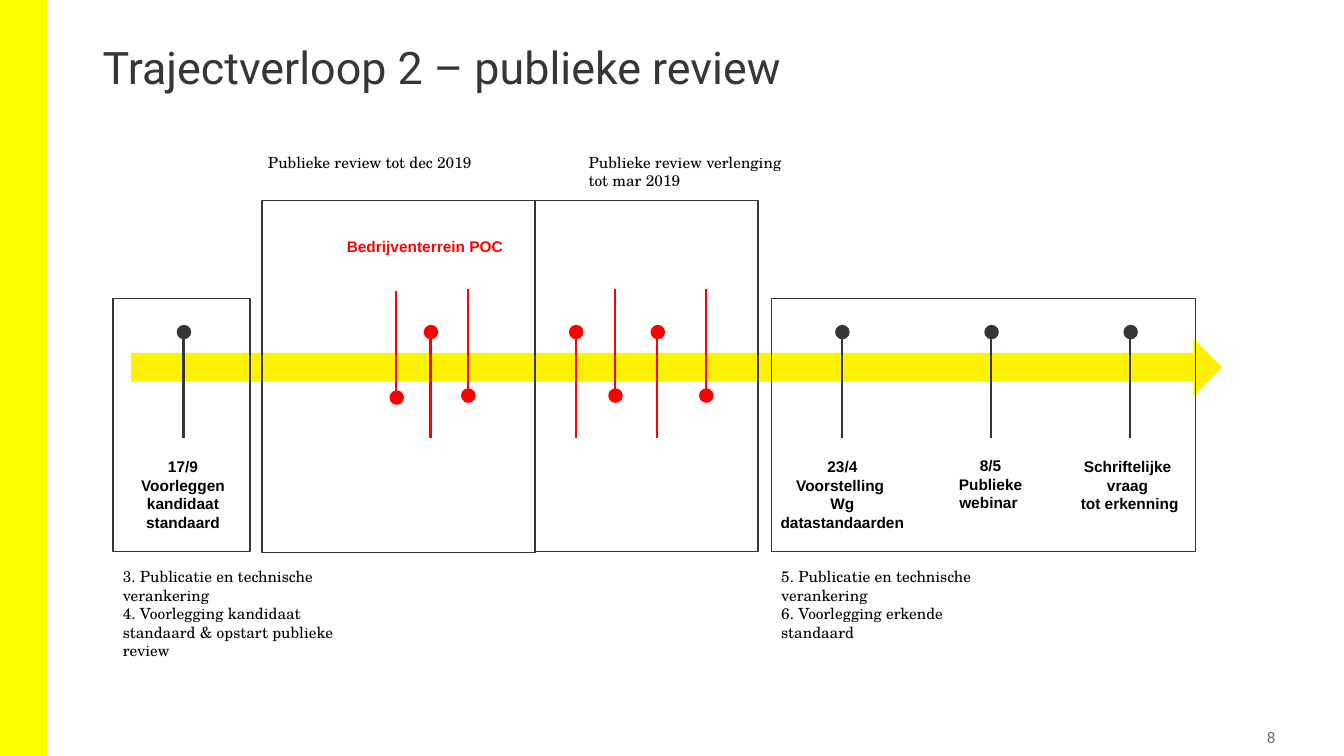
import pptx
import pptx.util
import pptx.dml.color
import pptx.enum.shapes
import pptx.enum.text
import pptx.oxml.ns
import lxml.etree

SCALE = 9144  # EMU per px, 100 px to the inch
COLORS = {"band": "FFFF00", "arrow": "FFF200", "dark": "373636",
          "red": "FF0000", "black": "000000", "gray": "6B6B6B"}
KIND = pptx.enum.shapes.MSO_SHAPE
ALIGN = pptx.enum.text.PP_ALIGN
ANCHOR = pptx.enum.text.MSO_ANCHOR
DOT = 13
STEM = 99


def px(*sizes):
    return [pptx.util.Emu(size * SCALE) for size in sizes]


def rgb(name):
    return pptx.dml.color.RGBColor.from_string(COLORS[name])


class Deck:
    def __init__(self, wide, high):
        self.file = pptx.Presentation()
        self.file.slide_width, self.file.slide_height = px(wide, high)
        self.slide = self.file.slides.add_slide(self.file.slide_layouts[6])
        self.shapes = self.slide.shapes

    def shape(self, kind, box, fill=None, line=None):
        item = self.shapes.add_shape(kind, *px(*box))
        item.shadow.inherit = False
        if fill:
            item.fill.solid()
            item.fill.fore_color.rgb = rgb(fill)
        else:
            item.fill.background()
        if line:
            item.line.color.rgb = rgb(line)
            item.line.width = pptx.util.Pt(1)
        else:
            item.line.fill.background()

    def stem(self, x, top, color):
        item = self.shapes.add_connector(
            pptx.enum.shapes.MSO_CONNECTOR.STRAIGHT, *px(x, top, x, top + STEM))
        item.line.color.rgb = rgb(color)
        item.line.width = pptx.util.Pt(1.5)
        lxml.etree.SubElement(item._element.spPr,
                              pptx.oxml.ns.qn("a:effectLst"))

    def pin(self, x, color, dot, up=True):
        """Draw a dot, with its stem above it or hanging below it."""
        self.stem(x, dot + DOT if up else dot - STEM, color)
        self.shape(KIND.OVAL, (x - DOT // 2, dot, DOT, DOT), color, color)

    def text(self, box, lines, font, size=11, color="black", bold=False,
             align=ALIGN.LEFT, space=1.0, anchor=ANCHOR.TOP, inset=(10, 5)):
        frame = self.shapes.add_textbox(*px(*box)).text_frame
        frame.word_wrap = True
        frame.vertical_anchor = anchor
        side, edge = px(*inset)
        frame.margin_left = frame.margin_right = side
        frame.margin_top = frame.margin_bottom = edge
        frame.text = "\n".join(lines)
        for para in frame.paragraphs:
            para.alignment = align
            para.line_spacing = space
            para.font.name = font
            para.font.size = pptx.util.Pt(size)
            para.font.bold = bold
            para.font.color.rgb = rgb(color)

    def note(self, box, *lines):
        self.text(box, lines, "TeX Gyre Schola")

    def label(self, box, *lines, color="black"):
        self.text(box, lines, "Arial", color=color, bold=True,
                  align=ALIGN.CENTER)


def main():
    deck = Deck(1333, 750)
    deck.shape(KIND.RECTANGLE, (0, 0, 47, 750), "band")
    deck.text((92, 40, 1150, 108), ["Trajectverloop 2 – publieke review"],
              "Roboto", 32, "dark", space=0.9)
    deck.text((1170, 717, 100, 29), ["8"], "Roboto", color="gray",
              align=ALIGN.RIGHT, anchor=ANCHOR.MIDDLE, inset=(5, 5))

    deck.shape(KIND.RIGHT_ARROW, (130, 336, 1082, 57), "arrow")
    for frame in ((112, 296, 136, 251), (260, 199, 271, 349),
                  (530, 199, 222, 348), (765, 296, 421, 251)):
        deck.shape(KIND.RECTANGLE, frame, line="dark")

    for x in (182, 835, 983, 1121):
        deck.pin(x, "dark", 323)
    for x in (427, 571, 652):
        deck.pin(x, "red", 323)
    for x, dot in ((393, 388), (464, 386), (610, 386), (700, 386)):
        deck.pin(x, "red", dot, up=False)

    deck.label((325, 230, 193, 29), "Bedrijventerrein POC", color="red")
    deck.label((99, 449, 165, 84), "17/9", "Voorleggen kandidaat standaard")
    deck.label((753, 449, 165, 84), "23/4", "Voorstelling ",
               "Wg datastandaarden")
    deck.label((900, 448, 165, 66), "8/5", "Publieke", "webinar ")
    deck.label((1038, 449, 165, 66), "Schriftelijke ", "vraag ",
               "tot erkenning")

    deck.note((256, 147, 257, 29), "Publieke review tot dec 2019")
    deck.note((574, 147, 257, 47), "Publieke review verlenging",
              "tot mar 2019")
    deck.note((112, 558, 236, 103), "3. Publicatie en technische verankering",
              "4. Voorlegging kandidaat standaard & opstart publieke review")
    deck.note((765, 558, 236, 84), "5. Publicatie en technische verankering",
              "6. Voorlegging erkende standaard")
    deck.file.save("out.pptx")


if __name__ == "__main__":
    main()
